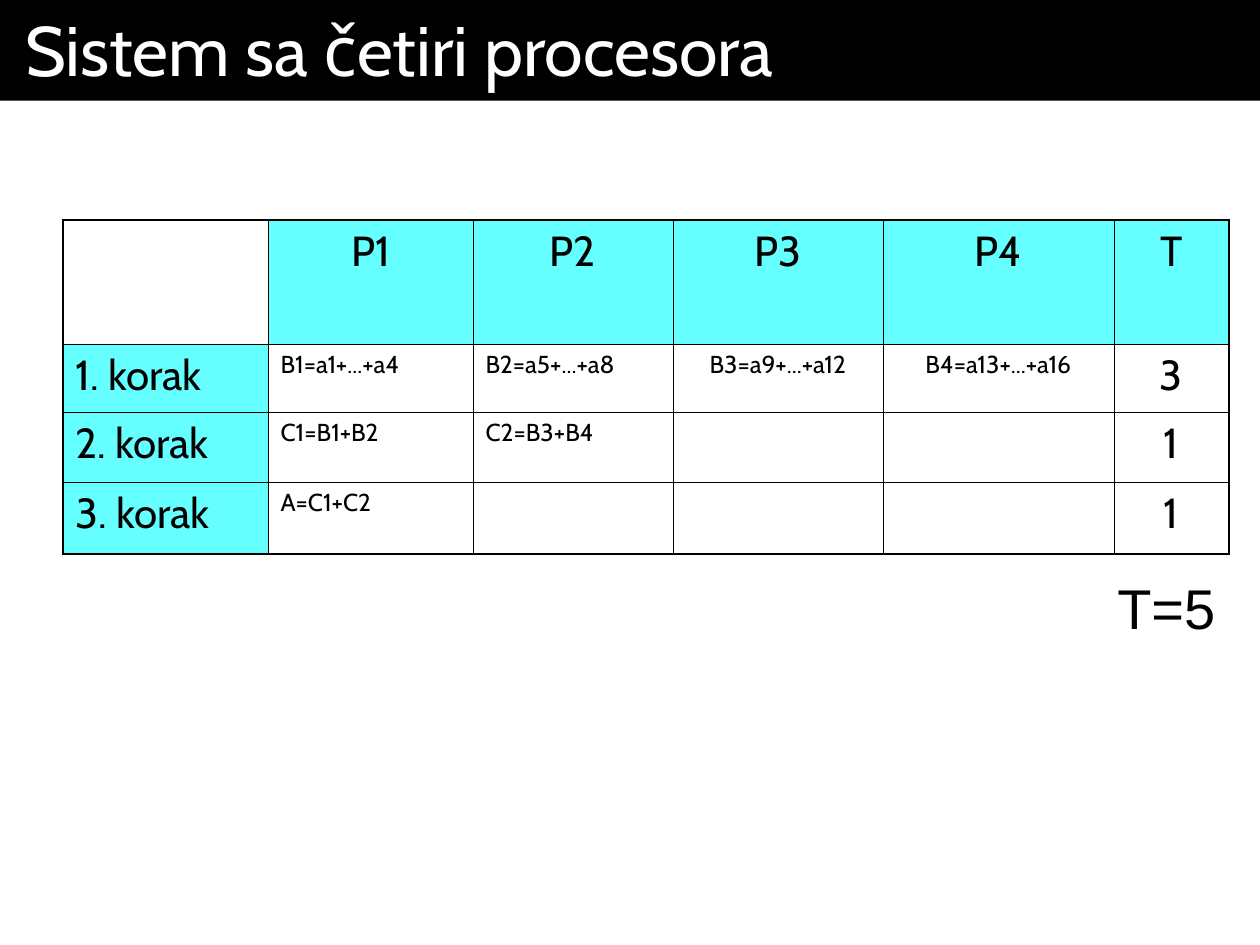
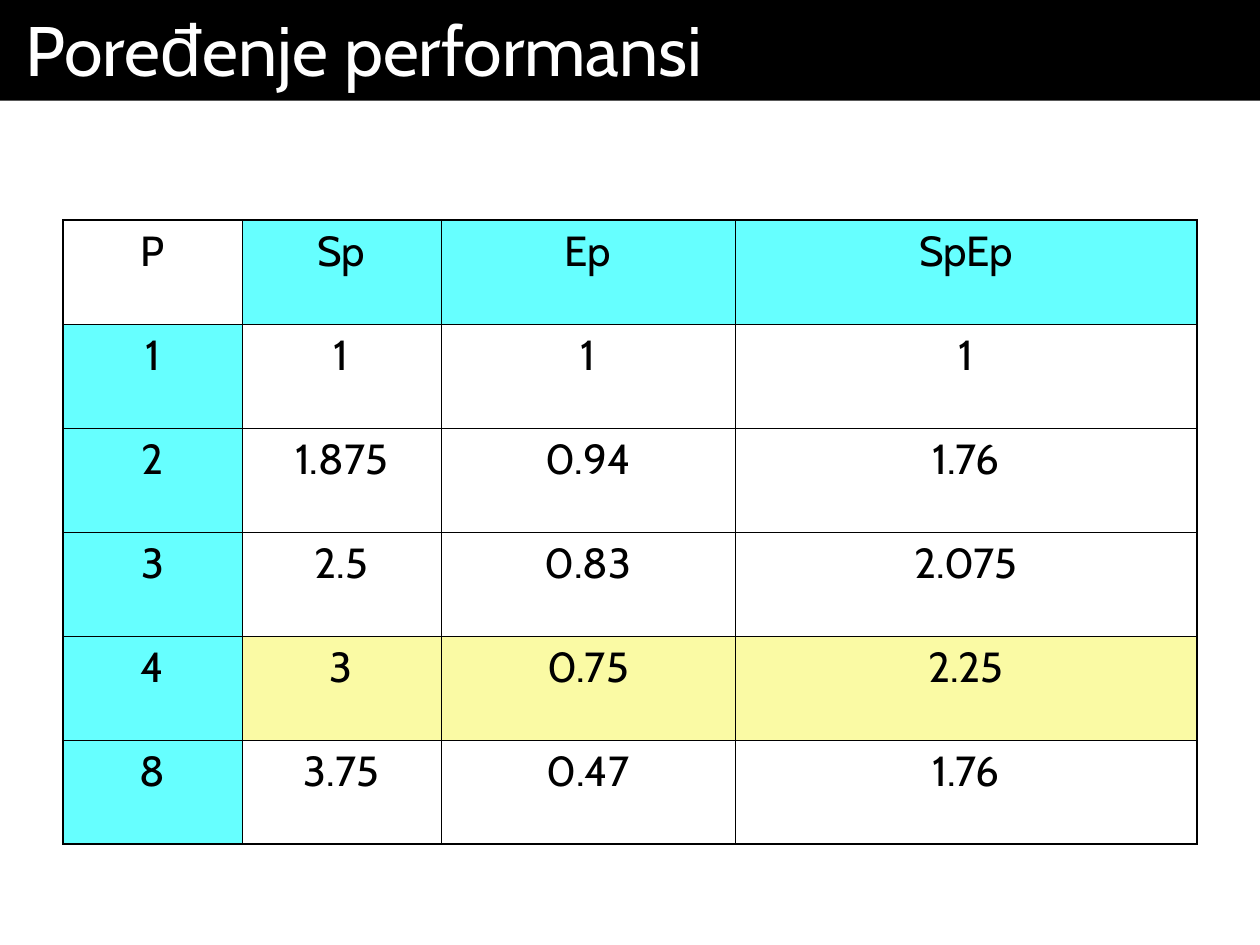
from lxml.etree import SubElement
from pptx import Presentation
from pptx.dml.color import RGBColor
from pptx.enum.text import MSO_ANCHOR, MSO_AUTO_SIZE, PP_ALIGN
from pptx.oxml.ns import qn
from pptx.util import Pt

BLACK, WHITE, CYAN, YELLOW = "000000", "FFFFFF", "66FFFF", "FAFAA4"
THIN, THICK = 0.45, 1.08
ALIGN = {"l": PP_ALIGN.LEFT, "c": PP_ALIGN.CENTER}


def px(n):
    return round(n * 914400 / 126)


def style(p, size, font="Cabin", color=BLACK, align="l"):
    p.alignment = ALIGN[align]
    for r in p.runs:
        r.font.size = Pt(size)
        r.font.name = font
        r.font.color.rgb = RGBColor.from_string(color)


slides = [
    {
        "title": "Sistem sa četiri procesora",
        "cols": [205, 205, 200, 210, 231, 115],
        "rows": [124, 68, 70, 72],
        "align": "lllccc",
        "small_cols": range(1, 5),
        "best_row": None,
        "cells": [
            ["", "P1", "P2", "P3", "P4", "T"],
            ["1. korak", "B1=a1+...+a4", "B2=a5+...+a8", "B3=a9+...+a12", "B4=a13+...+a16", "3"],
            ["2. korak", "C1=B1+B2", "C2=B3+B4", "", "", "1"],
            ["3. korak", "A=C1+C2", "", "", "", "1"],
        ],
    },
    {
        "title": "Poređenje performansi",
        "cols": [179, 199, 294, 462],
        "rows": [104] * 6,
        "align": "cccc",
        "small_cols": [],
        "best_row": 4,
        "cells": [
            ["P", "Sp", "Ep", "SpEp"],
            ["1", "1", "1", "1"],
            ["2", "1.875", "0.94", "1.76"],
            ["3", "2.5", "0.83", "2.075"],
            ["4", "3", "0.75", "2.25"],
            ["8", "3.75", "0.47", "1.76"],
        ],
    },
]

prs = Presentation()
prs.slide_width, prs.slide_height = px(1260), px(945)

for data in slides:
    slide = prs.slides.add_slide(prs.slide_layouts[5])

    title = slide.shapes.title
    title.left, title.top, title.width, title.height = 0, 0, px(1260), px(97)
    title.fill.solid()
    title.fill.fore_color.rgb = RGBColor.from_string(BLACK)
    tf = title.text_frame
    tf.text = data["title"]
    tf.auto_size = MSO_AUTO_SIZE.SHAPE_TO_FIT_TEXT
    tf.vertical_anchor = MSO_ANCHOR.MIDDLE
    tf.margin_left = tf.margin_right = px(25)
    tf.margin_top = tf.margin_bottom = px(6)
    style(tf.paragraphs[0], 40, color=WHITE)

    cols, rows = data["cols"], data["rows"]
    last_col, last_row = len(cols) - 1, len(rows) - 1
    table = slide.shapes.add_table(
        len(rows), len(cols), px(63), px(220), px(sum(cols)), px(sum(rows))
    ).table
    table.first_row = table.horz_banding = False
    for col, width in zip(table.columns, cols):
        col.width = px(width)
    for row, height in zip(table.rows, rows):
        row.height = px(height)

    for i, values in enumerate(data["cells"]):
        for j, value in enumerate(values):
            cell = table.cell(i, j)
            cell.text = value
            size = 14 if i > 0 and j in data["small_cols"] else 24
            align = "c" if i == 0 else data["align"][j]
            style(cell.text_frame.paragraphs[0], size, align=align)

            outer = {"L": j == 0, "R": j == last_col, "T": i == 0, "B": i == last_row}
            tc_pr = cell._tc.get_or_add_tcPr()
            for side, is_outer in outer.items():
                ln = SubElement(tc_pr, qn("a:ln" + side), w=str(Pt(THICK if is_outer else THIN)))
                SubElement(SubElement(ln, qn("a:solidFill")), qn("a:srgbClr"), val=BLACK)

            if (i == 0) != (j == 0):
                fill = CYAN
            elif i and i == data["best_row"]:
                fill = YELLOW
            else:
                fill = WHITE
            cell.fill.solid()
            cell.fill.fore_color.rgb = RGBColor.from_string(fill)

total = prs.slides[0].shapes.add_textbox(px(1105), px(567), px(123), px(81))
tf = total.text_frame
tf.word_wrap = False
tf.auto_size = MSO_AUTO_SIZE.SHAPE_TO_FIT_TEXT
tf.text = "T=5"
style(tf.paragraphs[0], 32, font="Arial")

prs.save("out.pptx")
